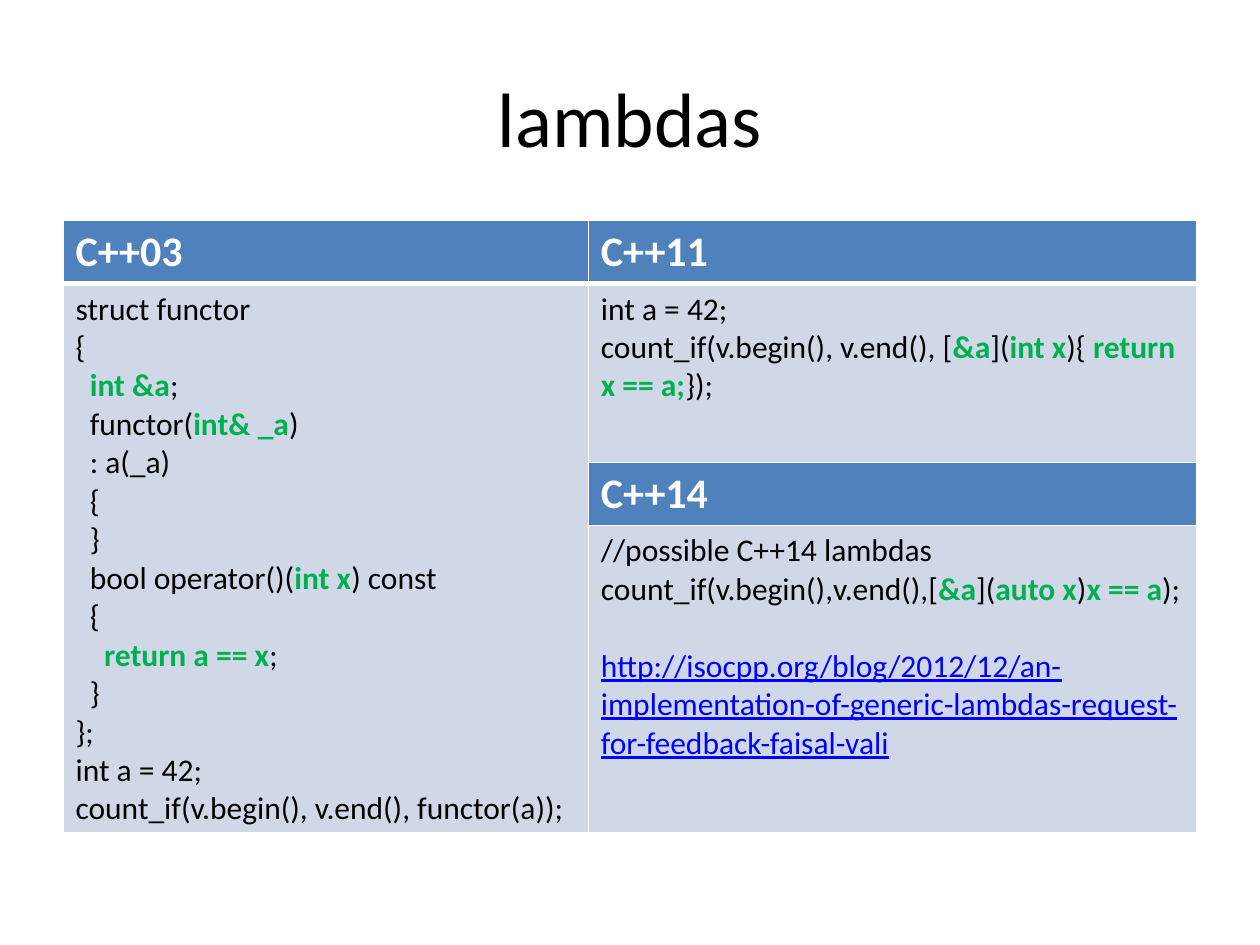
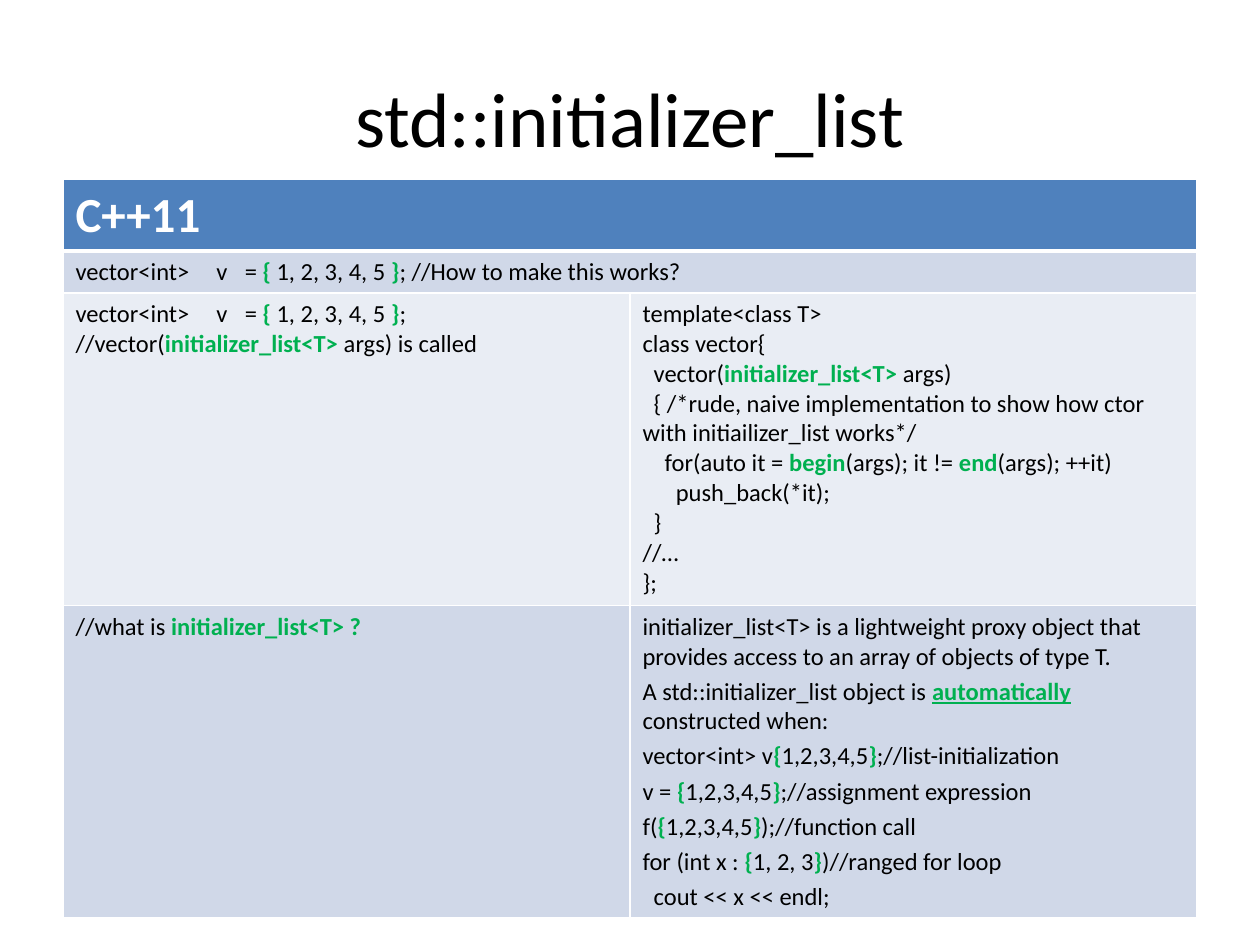
from dataclasses import dataclass

from lxml.etree import SubElement
from pptx import Presentation
from pptx.dml.color import RGBColor
from pptx.enum.text import MSO_ANCHOR, PP_ALIGN
from pptx.oxml import parse_xml
from pptx.oxml.ns import nsdecls, qn
from pptx.util import Cm, Pt


@dataclass(frozen=True)
class Theme:
    font: str = "Calibri"
    ink: str = "000000"
    white: str = "FFFFFF"
    accent: str = "00B050"
    link: str = "0000FF"
    head: str = "4F81BD"
    band: str = "D0D8E8"
    light: str = "E9EDF4"
    title: int = 44
    head_size: int = 24
    head_large: int = 28
    code: int = 18
    code_small: int = 14
    thin: int = 1
    thick: int = 3


THEME = Theme()
LEFT, WIDTH = 1.27, 22.86


def add_text(tf, text, size=THEME.code, color=THEME.ink, bold=False, underline=False,
             underlined_word="", align=PP_ALIGN.LEFT, before=0, tabs=()):
    """Add one paragraph per line; parts between backticks are green and bold."""
    for line in text.strip("\n").split("\n"):
        first = not tf.paragraphs[0].runs
        p = tf.paragraphs[0] if first else tf.add_paragraph()
        p.alignment = align
        if before and not first:
            p.space_before = Pt(before)
        if tabs:
            tab_list = SubElement(p._p.get_or_add_pPr(), qn("a:tabLst"))
            for pos in tabs:
                SubElement(tab_list, qn("a:tab"), pos=str(Cm(pos)), algn="l")
        for i, part in enumerate(line.split("`")):
            if not part:
                continue
            accented = i % 2 == 1
            r = p.add_run()
            r.text = part
            r.font.name = THEME.font
            r.font.size = Pt(size)
            r.font.bold = bold or accented
            r.font.underline = underline or part == underlined_word
            r.font.color.rgb = RGBColor.from_string(THEME.accent if accented else color)


class Deck:
    """Holds the theme and the current slide."""

    def __init__(self, prs, theme):
        self.prs, self.theme, self.s = prs, theme, None

    def slide(self, title):
        self.s = self.prs.slides.add_slide(self.prs.slide_layouts[6])
        tf = self.s.shapes.add_textbox(Cm(LEFT), Cm(0.76), Cm(WIDTH), Cm(3.18)).text_frame
        tf.word_wrap = True
        tf.vertical_anchor = MSO_ANCHOR.MIDDLE
        add_text(tf, title, size=self.theme.title, align=PP_ALIGN.CENTER)

    def table(self, top, first_col, rows):
        """Add a two-column table with white rules, thick below the first row."""
        table = self.s.shapes.add_table(len(rows), 2, Cm(LEFT), Cm(top),
                                        Cm(WIDTH), Cm(sum(rows))).table
        table.first_row = table.horz_banding = False
        for col, width in zip(table.columns, (first_col, WIDTH - first_col)):
            col.width = Cm(width)
        for i, height in enumerate(rows):
            table.rows[i].height = Cm(height)
            for cell in table.rows[i].cells:
                self.fill(cell, self.theme.band)
                self.borders(cell, i)
        return table

    def fill(self, cell, color):
        cell.fill.solid()
        cell.fill.fore_color.rgb = RGBColor.from_string(color)

    def borders(self, cell, row):
        tc_pr = cell._tc.get_or_add_tcPr()
        for i, side in enumerate("LRTB"):
            thick = (row, side) in ((0, "B"), (1, "T"))
            width = Pt(self.theme.thick if thick else self.theme.thin)
            tc_pr.insert(i, parse_xml(
                f'<a:ln{side} {nsdecls("a")} w="{width}"><a:solidFill>'
                f'<a:srgbClr val="{self.theme.white}"/></a:solidFill></a:ln{side}>'))

    def header(self, cell, text, size):
        self.fill(cell, self.theme.head)
        add_text(cell.text_frame, text, size=size, color=self.theme.white, bold=True)

    def code(self, cell, text, fill=THEME.band, **fmt):
        self.fill(cell, fill)
        add_text(cell.text_frame, text, **fmt)


FUNCTOR = """
struct functor
{
`  int &a`;
  functor(`int& _a`)
  : a(_a)
  {
  }
  bool operator()(`int x`) const
  {
`    return a == x`;
  }
};
int a = 42;
count_if(v.begin(), v.end(), functor(a));
"""
LAMBDA_11 = """
int a = 42;
count_if(v.begin(), v.end(), [`&a`](`int x`){ `return x == a;`});
"""
LAMBDA_14 = """
//possible C++14 lambdas
count_if(v.begin(),v.end(),[`&a`](`auto x`)`x == a`);
"""
LAMBDA_URL = ("http://isocpp.org/blog/2012/12/an-implementation-of-generic-"
              "lambdas-request-for-feedback-faisal-vali")

VECTOR_INIT = "vector<int>\tv\t= `{` 1, 2, 3, 4, 5 `}`; "
VECTOR_CLASS = """
template<class T>
class vector{
  vector(`initializer_list<T>` args)
  { /*rude, naive implementation to show how ctor with initiailizer_list works*/
    for(auto it = `begin`(args); it != `end`(args); ++it)
      push_back(*it);
  }
//…
};
"""
LIST_USES = """
initializer_list<T> is a lightweight proxy object that provides access to an array of objects of type T.
A std::initializer_list object is `automatically` constructed when:
vector<int> v`{`1,2,3,4,5`}`;//list-initialization
v = `{`1,2,3,4,5`}`;//assignment expression
f(`{`1,2,3,4,5`}`);//function call
for (int x : `{`1, 2, 3`}`)//ranged for loop
  cout << x << endl;
"""


def lambdas(deck):
    deck.slide("lambdas")
    table = deck.table(4.45, 10.59, (1.27, 3.6, 1.27, 6.2))
    table.cell(1, 0).merge(table.cell(3, 0))
    for row, col, name in ((0, 0, "C++03"), (0, 1, "C++11"), (2, 1, "C++14")):
        deck.header(table.cell(row, col), name, THEME.head_size)
    for row, col, text in ((1, 0, FUNCTOR), (1, 1, LAMBDA_11), (3, 1, LAMBDA_14)):
        deck.code(table.cell(row, col), text)
    add_text(table.cell(3, 1).text_frame, LAMBDA_URL, color=THEME.link,
             underline=True, before=22)


def initializer_list(deck):
    deck.slide("std::initializer_list")
    table = deck.table(3.61, WIDTH / 2, (1.45, 0.84, 6.3, 6.3))
    for row in (0, 1):
        table.cell(row, 0).merge(table.cell(row, 1))
    deck.header(table.cell(0, 0), "C++11", THEME.head_large)

    small = {"size": THEME.code_small}
    aligned = {**small, "tabs": (2.84, 3.41)}
    deck.code(table.cell(1, 0), VECTOR_INIT + "//How to make this works?", **aligned)
    deck.code(table.cell(2, 0), VECTOR_INIT + "//vector(`initializer_list<T>` args) is called",
              fill=THEME.light, **aligned)
    deck.code(table.cell(2, 1), VECTOR_CLASS, fill=THEME.light, **small)
    deck.code(table.cell(3, 0), "//what is `initializer_list<T> ?`", **small)
    deck.code(table.cell(3, 1), LIST_USES, before=3, underlined_word="automatically", **small)


def main():
    prs = Presentation()
    prs.slide_width, prs.slide_height = Cm(25.4), Cm(19.05)
    deck = Deck(prs, THEME)
    lambdas(deck)
    initializer_list(deck)
    prs.save("out.pptx")


if __name__ == "__main__":
    main()
